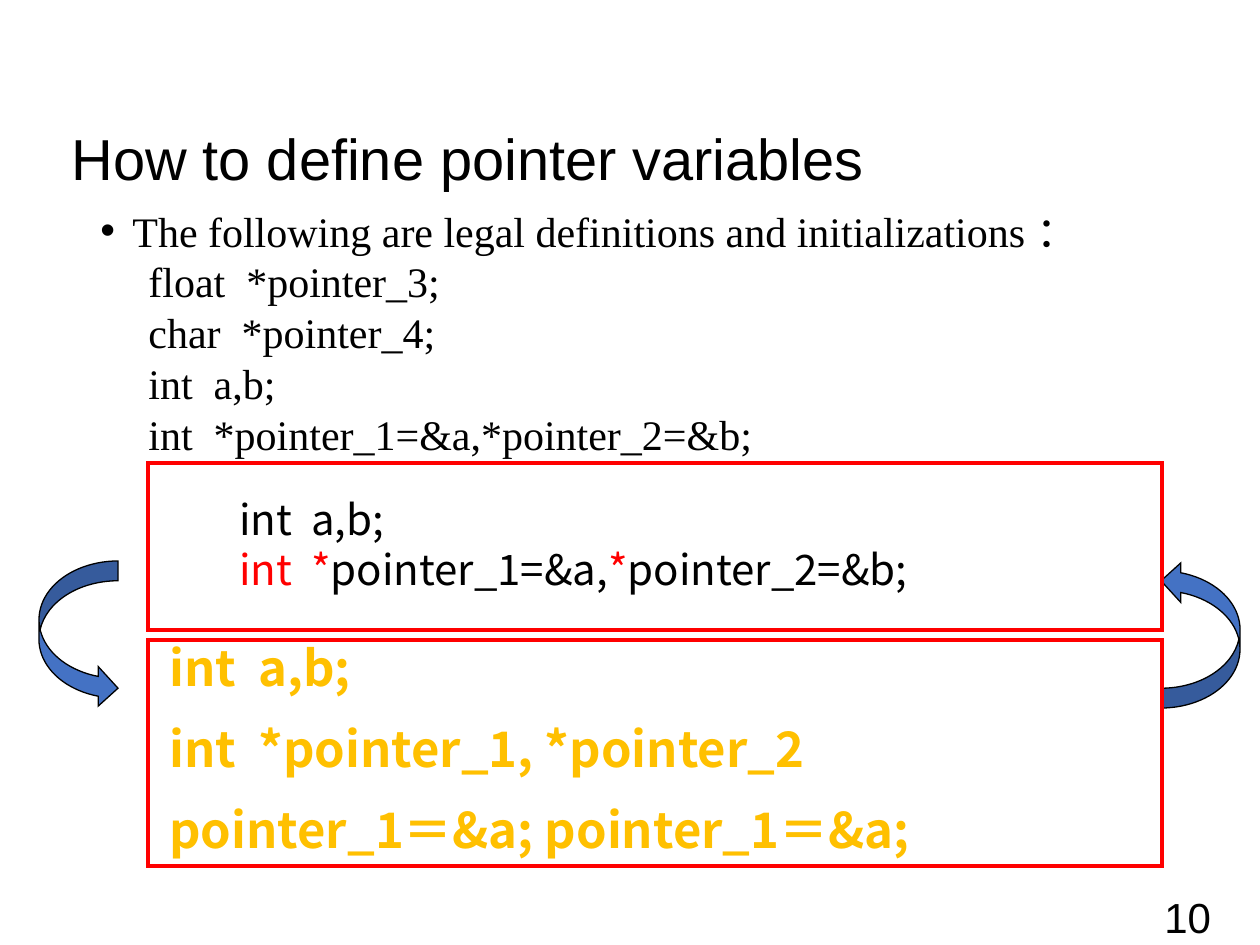
"""Build a slide on defining and initializing pointer variables."""
from dataclasses import dataclass
from typing import Optional

from lxml import etree
from pptx import Presentation
from pptx.dml.color import RGBColor
from pptx.enum.shapes import MSO_SHAPE
from pptx.enum.text import MSO_ANCHOR
from pptx.oxml.ns import qn
from pptx.util import Emu, Pt

EMU_PER_PX = 914400 / 126
BLACK = RGBColor(0x00, 0x00, 0x00)
RED = RGBColor(0xFF, 0x00, 0x00)
GOLD = RGBColor(0xFF, 0xC0, 0x00)
BLUE = RGBColor(0x44, 0x72, 0xC4)
RECTANGLE = MSO_SHAPE.RECTANGLE
CURVED_ARROW = MSO_SHAPE.CURVED_RIGHT_ARROW
TOP = MSO_ANCHOR.TOP
MIDDLE = MSO_ANCHOR.MIDDLE
SANS = "Arial"
SERIF = "Times New Roman"
CODE = "Noto Sans CJK SC"


@dataclass(frozen=True)
class Box:
    left: int
    top: int
    width: int
    height: int


@dataclass(frozen=True)
class Span:
    text: str
    color: RGBColor = BLACK


@dataclass(frozen=True)
class Line:
    spans: tuple[Span, ...]
    margin: int = 0
    bullet: str = ""


@dataclass(frozen=True)
class TextBlock:
    box: Box
    lines: tuple[Line, ...]
    font: str
    size: int
    bold: bool = False
    line_height: Optional[float] = None
    space_before: float = 0
    anchor: MSO_ANCHOR = TOP


@dataclass(frozen=True)
class Outline:
    kind: MSO_SHAPE
    box: Box
    line_color: RGBColor
    line_width: float
    fill: Optional[RGBColor] = None
    rotation: int = 0


def plain(text: str, color: RGBColor = BLACK, margin: int = 0, bullet: str = "") -> Line:
    return Line((Span(text, color),), margin, bullet)


TITLE = TextBlock(Box(59, 104, 1162, 106), (plain("How to define pointer variables"),),
                  SANS, 33, anchor=MIDDLE)
PAGE_NUMBER = TextBlock(Box(1152, 885, 118, 60), (plain("10"),), SANS, 24)
DEFINITIONS = TextBlock(
    Box(88, 205, 1102, 423),
    (plain("The following are legal definitions and initializations ：", margin=32, bullet="•"),)
    + tuple(plain(code, margin=48) for code in (
        "float  *pointer_3;",
        "char  *pointer_4;",
        "int  a,b;",
        "int  *pointer_1=&a,*pointer_2=&b;",
    )),
    SERIF, 24, line_height=25.3, space_before=3.7)
ASSIGNMENT = TextBlock(
    Box(157, 621, 1092, 305),
    tuple(plain(code, GOLD) for code in (
        "int  a,b;",
        "int  *pointer_1, *pointer_2",
        "pointer_1＝&a; pointer_1＝&a;",
    )),
    CODE, 28, bold=True, line_height=39.4, space_before=7)
INITIALIZATION = TextBlock(
    Box(164, 487, 859, 113),
    (plain("int  a,b;", margin=63),
     Line((Span("int  *", RED), Span("pointer_1=&a,"), Span("*", RED), Span("pointer_2=&b;")),
          margin=63)),
    CODE, 24, line_height=28.8)
OUTLINES = (
    Outline(CURVED_ARROW, Box(39, 561, 79, 147), BLACK, 0.75, BLUE),
    Outline(CURVED_ARROW, Box(1161, 561, 79, 147), BLACK, 0.75, BLUE, 180),
    Outline(RECTANGLE, Box(148, 463, 1014, 167), RED, 2.25),
    Outline(RECTANGLE, Box(148, 640, 1014, 226), RED, 2.25),
)


def px(length: int) -> Emu:
    return Emu(round(length * EMU_PER_PX))


def place(box: Box) -> tuple[Emu, Emu, Emu, Emu]:
    return px(box.left), px(box.top), px(box.width), px(box.height)


def set_indent(paragraph, line: Line) -> None:
    properties = paragraph._p.get_or_add_pPr()
    properties.set("marL", str(px(line.margin)))
    properties.set("indent", str(px(-line.margin if line.bullet else 0)))
    if line.bullet:
        etree.SubElement(properties, qn("a:buFont")).set("typeface", SANS)
        etree.SubElement(properties, qn("a:buChar")).set("char", line.bullet)


def add_text(slide, block: TextBlock) -> None:
    text_frame = slide.shapes.add_textbox(*place(block.box)).text_frame
    text_frame.word_wrap = True
    text_frame.vertical_anchor = block.anchor
    for index, line in enumerate(block.lines):
        paragraph = text_frame.add_paragraph() if index else text_frame.paragraphs[0]
        set_indent(paragraph, line)
        if block.line_height:
            paragraph.line_spacing = Pt(block.line_height)
        if index and block.space_before:
            paragraph.space_before = Pt(block.space_before)
        for span in line.spans:
            run = paragraph.add_run()
            run.text = span.text
            run.font.name = block.font
            run.font.size = Pt(block.size)
            run.font.bold = block.bold
            run.font.color.rgb = span.color


def add_outline(slide, outline: Outline) -> None:
    shape = slide.shapes.add_shape(outline.kind, *place(outline.box))
    shape.shadow.inherit = False
    shape.rotation = outline.rotation
    shape.line.color.rgb = outline.line_color
    shape.line.width = Pt(outline.line_width)
    line_properties = shape.line._get_or_add_ln()
    etree.SubElement(line_properties, qn("a:miter")).set("lim", "800000")
    if outline.fill is None:
        shape.fill.background()
    else:
        shape.fill.solid()
        shape.fill.fore_color.rgb = outline.fill


def main() -> None:
    presentation = Presentation()
    presentation.slide_width = px(1260)
    presentation.slide_height = px(945)
    slide = presentation.slides.add_slide(presentation.slide_layouts[6])
    for block in (PAGE_NUMBER, TITLE, DEFINITIONS, ASSIGNMENT):
        add_text(slide, block)
    for outline in OUTLINES:
        add_outline(slide, outline)
    add_text(slide, INITIALIZATION)
    presentation.save("out.pptx")


if __name__ == "__main__":
    main()
